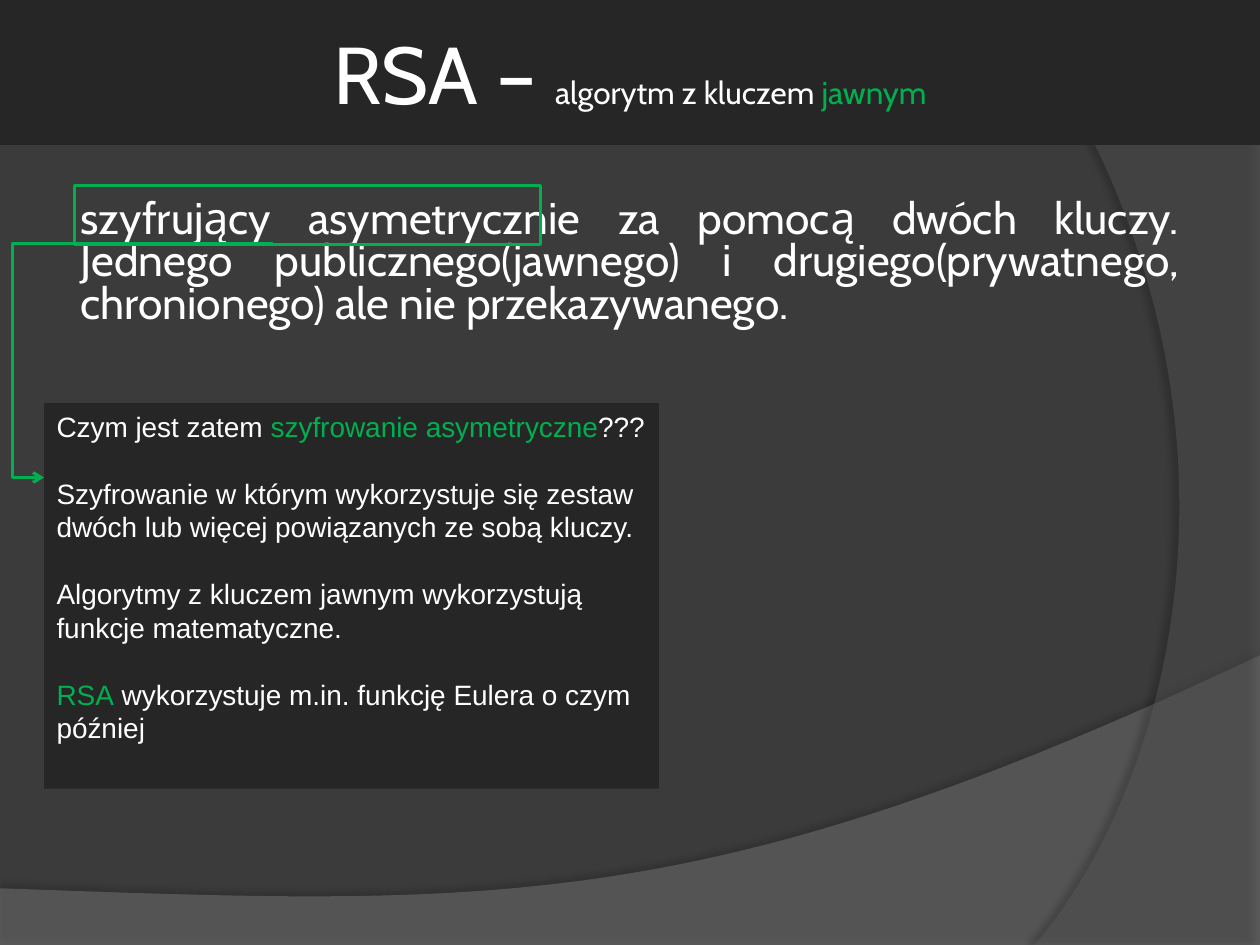
from lxml import etree
from pptx import Presentation
from pptx.dml.color import RGBColor
from pptx.enum.shapes import MSO_CONNECTOR, MSO_SHAPE
from pptx.enum.text import MSO_ANCHOR, PP_ALIGN
from pptx.oxml.ns import qn
from pptx.util import Inches, Pt

WHITE = RGBColor(0xFF, 0xFF, 0xFF)
GREEN = RGBColor(0x00, 0xB0, 0x50)
PANEL = RGBColor(0x26, 0x26, 0x26)
BACKDROP = RGBColor(0x3B, 0x3B, 0x3B)
HILL = RGBColor(0x7F, 0x7F, 0x7F)
ARC = RGBColor(0x5E, 0x5E, 0x5E)
BEZIER_STEPS = 48

prs = Presentation()
prs.slide_width, prs.slide_height = Inches(10), Inches(7.5)
slide = prs.slides.add_slide(prs.slide_layouts[6])
slide.background.fill.solid()
slide.background.fill.fore_color.rgb = BACKDROP
shapes = slide.shapes


def add_rect(left, top, width, height, fill=None):
    rect = shapes.add_shape(MSO_SHAPE.RECTANGLE, Inches(left), Inches(top),
                            Inches(width), Inches(height))
    rect.shadow.inherit = False
    rect.line.fill.background()
    if fill is None:
        rect.fill.background()
    else:
        rect.fill.solid()
        rect.fill.fore_color.rgb = fill
    return rect


def write_runs(paragraph, runs, font_name, size):
    paragraph.font.name = font_name
    paragraph.font.size = Pt(size)
    paragraph.font.color.rgb = WHITE
    for text, accent in runs:
        run = paragraph.add_run()
        run.text = text
        if accent:
            run.font.color.rgb = GREEN


# Background waves: straight edges, then one cubic curve back to the start
waves = [
    ([(0, 7.05), (0, 7.51), (10, 7.51), (10, 5.2)],
     [(5.59, 7.29), (3.91, 7.19), (0, 7.05)], HILL, 45, 35, 3.5, 270),
    ([(8, 0), (10, 0.02), (10, 7.5), (8.21, 7.5)],
     [(9.35, 6.19), (10.18, 3), (8, 0)], ARC, 40, 45, 4, 180),
]
for corners, (c1, c2, end), color, alpha, shade, distance, angle in waves:
    start = corners[-1]
    curve = []
    for step in range(1, BEZIER_STEPS):
        t = step / BEZIER_STEPS
        weights = ((1 - t) ** 3, 3 * t * (1 - t) ** 2, 3 * t * t * (1 - t), t ** 3)
        curve.append(tuple(sum(w * point[axis] for w, point
                               in zip(weights, (start, c1, c2, end)))
                           for axis in (0, 1)))
    outline = [(Inches(x), Inches(y)) for x, y in corners + curve]
    builder = shapes.build_freeform(*outline[0])
    builder.add_line_segments(outline[1:])
    wave = builder.convert_to_shape()
    wave.line.fill.background()
    wave.fill.solid()
    wave.fill.fore_color.rgb = color
    solid = wave.fill._xPr.find(qn("a:solidFill"))
    etree.SubElement(solid[0], qn("a:alpha"), val=str(alpha * 1000))
    wave.shadow.inherit = False
    effects = wave._element.spPr.find(qn("a:effectLst"))
    shadow = etree.SubElement(effects, qn("a:outerShdw"), blurRad=str(Pt(4)),
                              dist=str(Pt(distance)), dir=str(angle * 60000),
                              algn="ctr", rotWithShape="0")
    shadow_color = etree.SubElement(shadow, qn("a:srgbClr"), val="000000")
    etree.SubElement(shadow_color, qn("a:alpha"), val=str(shade * 1000))

# Definition
definition = shapes.add_textbox(Inches(0.59), Inches(1.47), Inches(8.82), Inches(1.25))

# Explanation panel
explanation = add_rect(0.35, 3.2, 4.88, 3.06, PANEL)
explanation.text_frame.word_wrap = True
explanation.text_frame.vertical_anchor = MSO_ANCHOR.TOP
answers = [
    [("Czym jest zatem ", False), ("szyfrowanie asymetryczne", True), ("???", False)],
    [("Szyfrowanie w którym wykorzystuje się zestaw dwóch lub więcej "
      "powiązanych ze sobą kluczy.", False)],
    [("Algorytmy z kluczem jawnym wykorzystują funkcje matematyczne.", False)],
    [("RSA", True), (" wykorzystuje m.in. funkcję Eulera o czym później", False)],
]
for index, runs in enumerate(answers):
    frame = explanation.text_frame
    paragraph = frame.add_paragraph() if index else frame.paragraphs[0]
    paragraph.alignment = PP_ALIGN.LEFT
    paragraph.line_spacing = Pt(19.15)
    paragraph.space_after = Pt(19.15)
    write_runs(paragraph, runs, "Arial", 16)

# Highlight frame and the arrow to the explanation
highlight = add_rect(0.59, 1.47, 3.7, 0.47)
arrow = shapes.add_connector(MSO_CONNECTOR.ELBOW, Inches(2.17), Inches(1.93),
                             Inches(0.35), Inches(3.79))
for outlined in (highlight, arrow):
    outlined.line.color.rgb = GREEN
    outlined.line.width = Pt(1.75)
bend = round((2.17 - 0.1) / (2.17 - 0.35) * 100000)
guides = arrow._element.spPr.find(qn("a:prstGeom")).get_or_add_avLst()
etree.SubElement(guides, qn("a:gd"), name="adj1", fmla=f"val {bend}")
etree.SubElement(arrow.line._get_or_add_ln(), qn("a:tailEnd"), type="arrow")
etree.SubElement(arrow._element.spPr, qn("a:effectLst"))

# Title band
title = add_rect(0, 0, 10, 1.15, PANEL)

# Text of the definition and the title
for box, runs, size, alignment in [
    (definition, [("szyfrujący asymetrycznie za pomocą dwóch kluczy. Jednego "
                   "publicznego(jawnego) i drugiego(prywatnego, chronionego) "
                   "ale nie przekazywanego.", False)], 25.3, PP_ALIGN.JUSTIFY),
    (title, [("RSA – ", False), ("algorytm z kluczem ", False), ("jawnym", True)],
     18, PP_ALIGN.CENTER),
]:
    frame = box.text_frame
    frame.word_wrap = True
    frame.vertical_anchor = MSO_ANCHOR.MIDDLE
    frame.margin_left = frame.margin_right = Inches(0.05)
    frame.margin_top = frame.margin_bottom = Inches(0.05)
    frame.paragraphs[0].alignment = alignment
    write_runs(frame.paragraphs[0], runs, "Cabin", size)
definition.text_frame.paragraphs[0].line_spacing = 0.8
title.text_frame.paragraphs[0].runs[0].font.size = Pt(46)

prs.save("out.pptx")
